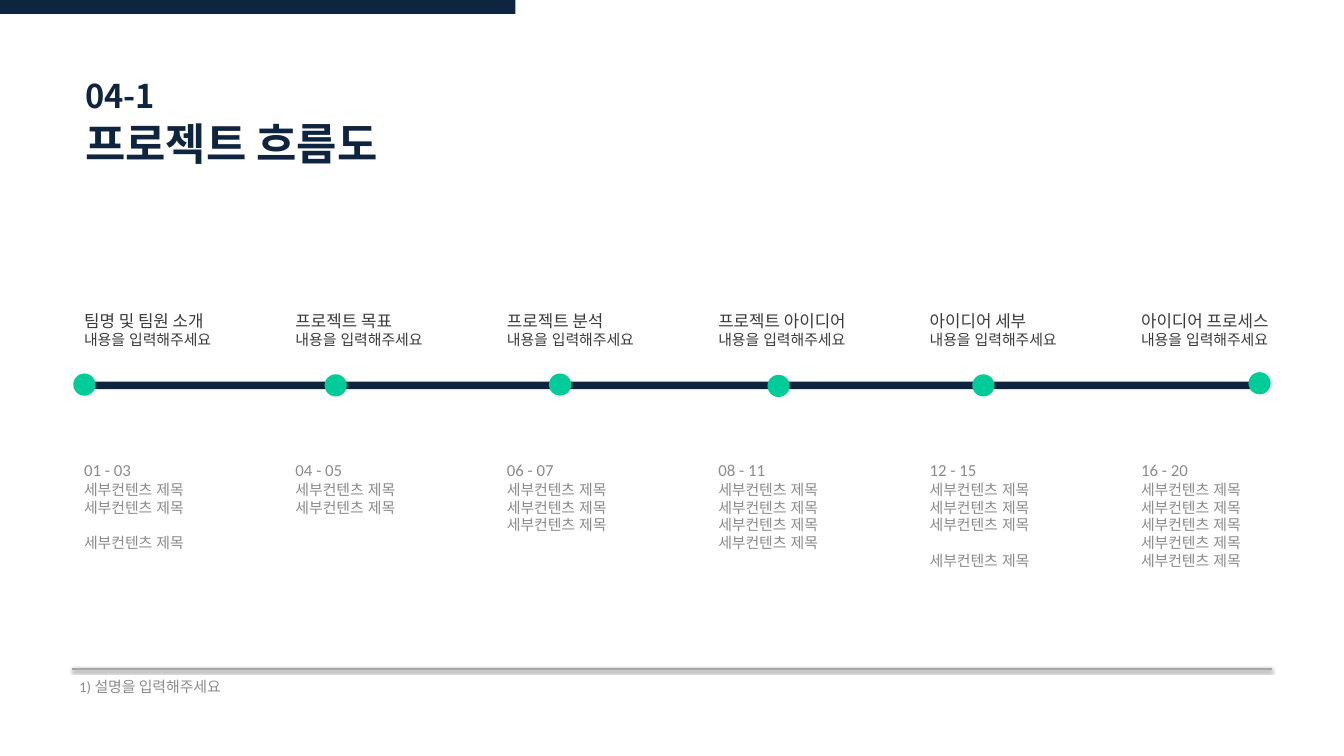
"""Build a project flow slide with a six-step timeline."""
from dataclasses import dataclass

from lxml import etree
from pptx import Presentation
from pptx.dml.color import RGBColor
from pptx.enum import shapes, text
from pptx.oxml import ns
from pptx.util import Cm, Pt

COLORS = {
    "navy": "0F243E",
    "green": "00CC99",
    "dark": "3B3B3B",
    "gray": "8B8B8B",
    "rule": "A6A6A6",
    "shadow": "000000",
}
SLIDE_WIDTH, SLIDE_HEIGHT = 50.8, 28.58
COLUMN_LEFT, COLUMN_PITCH = 2.93, 7.99
DOT_SIZE = 0.84
GAP = Pt(19)
HINT = "내용을 입력해주세요"
ITEM = "세부컨텐츠 제목"


@dataclass
class Line:
    """One paragraph and its look."""

    wording: str
    size: int
    font: str
    color: str
    bold: bool = False
    gap_before: int = 0


@dataclass
class Step:
    """One stage of the timeline."""

    title: str
    pages: str
    items: int
    dot_left: float
    dot_top: float
    last_apart: bool = False


STEPS = [
    Step("팀명 및 팀원 소개", "01 - 03", 3, 2.77, 14.12, True),
    Step("프로젝트 목표", "04 - 05", 2, 12.27, 14.15),
    Step("프로젝트 분석", "06 - 07", 3, 20.75, 14.12),
    Step("프로젝트 아이디어", "08 - 11", 4, 29.01, 14.17),
    Step("아이디어 세부", "12 - 15", 4, 36.75, 14.15, True),
    Step("아이디어 프로세스", "16 - 20", 5, 47.19, 14.07),
]


def add_text(slide, left: float, top: float, width: float, height: float, lines: list[Line]) -> None:
    """Add a wrapped text box that stays within the slide."""
    width = min(width, SLIDE_WIDTH - left)
    box = slide.shapes.add_textbox(Cm(left), Cm(top), Cm(width), Cm(height))
    frame = box.text_frame
    frame.word_wrap = True
    frame.auto_size = text.MSO_AUTO_SIZE.SHAPE_TO_FIT_TEXT
    frame.text = "\n".join(line.wording for line in lines)
    for paragraph, line in zip(frame.paragraphs, lines):
        if line.gap_before:
            paragraph.space_before = line.gap_before
        font = paragraph.runs[0].font
        font.size = Pt(line.size)
        font.bold = line.bold
        font.name = line.font
        font.color.rgb = RGBColor.from_string(COLORS[line.color])
        properties = paragraph.runs[0]._r.get_or_add_rPr()
        etree.SubElement(properties, ns.qn("a:ea"), typeface=line.font)


def add_block(slide, kind, left: float, top: float, width: float, height: float, color: str) -> None:
    """Add a plain filled shape without outline."""
    shape = slide.shapes.add_shape(kind, Cm(left), Cm(top), Cm(width), Cm(height))
    shape.shadow.inherit = False
    shape.fill.solid()
    shape.fill.fore_color.rgb = RGBColor.from_string(COLORS[color])
    shape.line.fill.background()


def add_rule(slide, left: float, right: float, top: float) -> None:
    """Add the footnote rule with its soft shadow."""
    rule = slide.shapes.add_connector(
        shapes.MSO_CONNECTOR.STRAIGHT, Cm(left), Cm(top), Cm(right), Cm(top))
    rule.line.color.rgb = RGBColor.from_string(COLORS["rule"])
    rule.line.width = Pt(2)
    effects = etree.SubElement(rule._element.spPr, ns.qn("a:effectLst"))
    shadow = etree.SubElement(
        effects, ns.qn("a:outerShdw"), blurRad=str(Pt(3.1)), dist=str(Pt(1.6)),
        dir="5400000", rotWithShape="0")
    color = etree.SubElement(shadow, ns.qn("a:srgbClr"), val=COLORS["shadow"])
    etree.SubElement(color, ns.qn("a:alpha"), val="38000")


def add_step_text(slide, index: int, step: Step) -> None:
    """Add the heading above and the details below the timeline."""
    left = COLUMN_LEFT + index * COLUMN_PITCH
    add_text(slide, left, 11.63, 8.81, 1.7, [
        Line(step.title, 18, "Calibri", "dark"),
        Line(HINT, 16, "Arial", "dark"),
    ])
    details = [Line(ITEM, 16, "Arial", "gray") for _ in range(step.items)]
    if step.last_apart:
        details[-1].gap_before = GAP
    add_text(slide, left, 17.27, 9.04, 1 + 0.7 * step.items,
             [Line(step.pages, 18, "Calibri", "gray"), *details])


def main() -> None:
    """Create the presentation and save it."""
    presentation = Presentation()
    presentation.slide_width = Cm(SLIDE_WIDTH)
    presentation.slide_height = Cm(SLIDE_HEIGHT)
    slide = presentation.slides.add_slide(presentation.slide_layouts[6])
    rectangle, oval = shapes.MSO_SHAPE.RECTANGLE, shapes.MSO_SHAPE.OVAL

    add_text(slide, 2.97, 4.27, 16.08, 2.26,
             [Line("프로젝트 흐름도", 47, "Noto Sans CJK KR", "navy", True)])
    add_text(slide, 2.97, 2.74, 5.54, 1.75,
             [Line("04-1", 35, "Noto Sans CJK KR", "navy", True)])
    for index, step in enumerate(STEPS):
        add_step_text(slide, index, step)

    add_block(slide, rectangle, 0, 0, 19.48, 0.53, "navy")
    add_block(slide, rectangle, 2.97, 14.43, 44.88, 0.28, "navy")
    for step in STEPS:
        add_block(slide, oval, step.dot_left, step.dot_top, DOT_SIZE, DOT_SIZE, "green")

    add_text(slide, 2.74, 25.5, 14.05, 1.19,
             [Line("1) 설명을 입력해주세요", 16, "Calibri", "gray")])
    add_rule(slide, 2.74, 48.06, 25.3)
    presentation.save("out.pptx")


if __name__ == "__main__":
    main()
